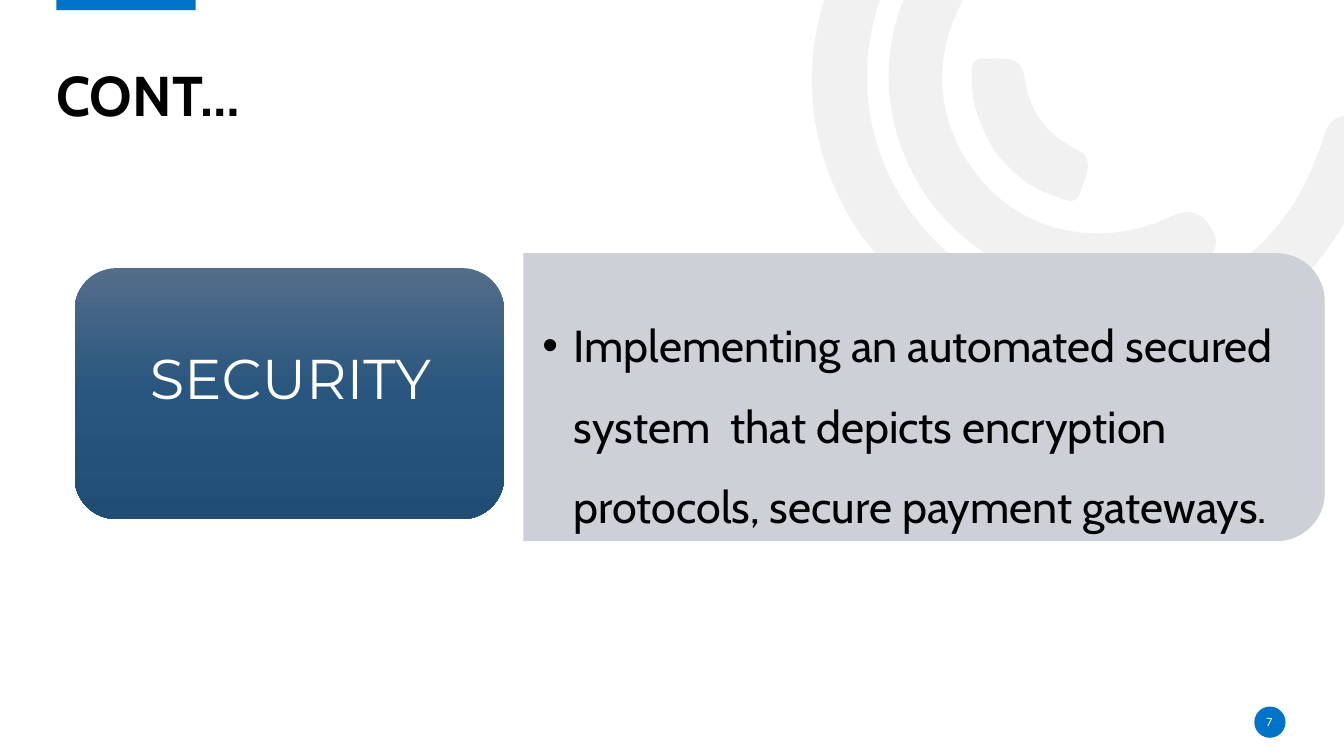
from lxml.etree import SubElement
from pptx import Presentation
from pptx.dml.color import RGBColor
from pptx.enum.shapes import MSO_SHAPE
from pptx.enum.text import MSO_ANCHOR, PP_ALIGN
from pptx.oxml.ns import qn
from pptx.util import Inches, Pt

TITLE = "CONT…"
TOPIC = "SECURITY"
POINT = ("Implementing an automated secured system  that depicts "
         "encryption protocols, secure payment gateways.")
PAGE = "7"

BLUE, PALE, GREY = "0072C7", "CDD1D7", "E7E6E6"
BLACK, WHITE = "000000", "FFFFFF"
FADE = [(0, "536D8A"), (50, "28567E"), (100, "204D73")]

# Each arc: a start point, then cubic curves (control, control, end)
ARCS = [
    ((8.51, 2.29), [
        (7.99, 1.49, 7.87, 0.5, 8.38, -0.5),
        (8.9, -1.52, 9.76, -2.03, 10.9, -2.07),
        (11.05, -2.07, 11.21, -2.1, 11.31, -1.95),
        (11.44, -1.75, 11.27, -1.54, 10.98, -1.54),
        (9.67, -1.54, 8.65, -0.59, 8.6, 0.68),
        (8.56, 1.81, 9.36, 2.81, 10.46, 3.02),
        (11.6, 3.24, 12.7, 2.61, 13.07, 1.52),
        (13.09, 1.48, 13.11, 1.44, 13.12, 1.4),
        (13.16, 1.19, 13.27, 1.11, 13.49, 1.17),
        (13.73, 1.24, 13.67, 1.41, 13.61, 1.56),
        (13.34, 2.45, 12.78, 3.07, 11.91, 3.41),
        (10.7, 3.87, 9.36, 3.45, 8.51, 2.29)]),
    ((9.22, 1.99), [
        (8.62, 1.15, 8.69, 0.07, 9.4, -0.68),
        (9.51, -0.79, 9.62, -0.95, 9.8, -0.78),
        (9.95, -0.64, 9.97, -0.5, 9.79, -0.32),
        (9.25, 0.26, 9.2, 1.08, 9.65, 1.68),
        (10.08, 2.29, 10.88, 2.49, 11.61, 2.15),
        (11.82, 2.05, 11.93, 2.12, 12.03, 2.29),
        (12.13, 2.5, 11.97, 2.56, 11.83, 2.63),
        (10.96, 3.1, 9.83, 2.82, 9.22, 1.99)]),
    ((9.87, 1.51), [
        (9.75, 1.3, 9.64, 1.07, 9.64, 0.82),
        (9.64, 0.73, 9.61, 0.57, 9.76, 0.58),
        (9.92, 0.59, 10.13, 0.53, 10.16, 0.76),
        (10.21, 1.1, 10.36, 1.32, 10.67, 1.48),
        (10.88, 1.57, 10.76, 1.76, 10.72, 1.89),
        (10.68, 2.06, 10.55, 1.98, 10.45, 1.94),
        (10.21, 1.87, 10.03, 1.7, 9.87, 1.51)]),
]

deck = Presentation()
deck.slide_width, deck.slide_height = Inches(13.33), Inches(7.5)
slide = deck.slides.add_slide(deck.slide_layouts[6])
shapes = slide.shapes


def paint(shape, color, alpha=100):
    """Fill a shape flat, with no line or shadow; alpha in percent."""
    shape.shadow.inherit = False
    shape.line.fill.background()
    shape.fill.solid()
    shape.fill.fore_color.rgb = RGBColor.from_string(color)
    if alpha < 100:
        tone = shape.fill._xPr.find(qn("a:solidFill"))[0]
        SubElement(tone, qn("a:alpha"), val=str(alpha * 1000))


def fade(shape, stops):
    """Fill a shape with a gradient running from top to bottom."""
    shape.fill.gradient()
    grad = shape.fill._xPr.find(qn("a:gradFill"))
    for child in list(grad):
        grad.remove(child)
    stop_list = SubElement(grad, qn("a:gsLst"))
    for place, color in stops:
        stop = SubElement(stop_list, qn("a:gs"), pos=str(place * 1000))
        SubElement(stop, qn("a:srgbClr"), val=color)
    SubElement(grad, qn("a:lin"), ang="5400000", scaled="0")


def draw_arc(start, curves):
    """Lay out all curve points as lines, then bend each three into a cubic."""
    x, y = map(Inches, start)
    pen = shapes.build_freeform(x, y)
    pen.add_line_segments([(Inches(c[i]), Inches(c[i + 1]))
                           for c in curves for i in (0, 2, 4)], close=True)
    arc = pen.convert_to_shape()
    lines = list(arc._element.iter(qn("a:lnTo")))
    for first in range(0, len(curves) * 3, 3):
        bend = lines[first].makeelement(qn("a:cubicBezTo"))
        lines[first].addprevious(bend)
        for line in lines[first:first + 3]:
            bend.append(line[0])
    for line in lines:
        line.getparent().remove(line)
    paint(arc, GREY, 53)


def add(kind, *box):
    return shapes.add_shape(kind, *map(Inches, box))


def add_box(*box):
    return shapes.add_textbox(*map(Inches, box))


def write(shape, text, size, font, color, align=PP_ALIGN.LEFT,
          anchor=MSO_ANCHOR.MIDDLE, space=1.0, inset=(0, 0, 0, 0)):
    """Set a shape's one paragraph; inset is left, top, right, bottom."""
    frame = shape.text_frame
    frame.word_wrap = True
    frame.vertical_anchor = anchor
    (frame.margin_left, frame.margin_top,
     frame.margin_right, frame.margin_bottom) = map(Inches, inset)
    para = frame.paragraphs[0]
    para.text = text
    para.alignment = align
    para.line_spacing = space
    para.font.size, para.font.name = Pt(size), font
    para.font.color.rgb = RGBColor.from_string(color)
    return para


for start, curves in ARCS:
    draw_arc(start, curves)

paint(add(MSO_SHAPE.RECTANGLE, 0.56, -0.02, 1.38, 0.12), BLUE)

title = write(add_box(0.56, 0.27, 12.19, 1.01), TITLE, 40, "Cabin", BLACK,
              anchor=MSO_ANCHOR.BOTTOM, space=0.9)
title.font.bold = True

paint(add(MSO_SHAPE.OVAL, 12.44, 7.01, 0.31, 0.31), BLUE)
write(add_box(12.43, 7.06, 0.32, 0.2), PAGE, 9, "Calibri", WHITE,
      PP_ALIGN.CENTER)

panel = add(MSO_SHAPE.ROUND_2_SAME_RECTANGLE, 7.74, -0.03, 2.85, 7.94)
panel.rotation = 90
paint(panel, PALE)
panel.line.color.rgb = RGBColor.from_string(PALE)
panel.line.width = Pt(0.5)

point = write(add_box(5.11, 2.8, 7.83, 2.57), POINT, 32, "Cabin", BLACK,
              space=1.5, inset=(0.27, 0.14, 0.27, 0.14))
props = point._p.get_or_add_pPr()
props.set("marL", str(Inches(0.31)))
props.set("indent", str(-Inches(0.31)))
SubElement(props, qn("a:buFont"), typeface="Arial")
SubElement(props, qn("a:buChar"), char="•")
props.append(props.find(qn("a:defRPr")))  # must follow the bullet

card = add(MSO_SHAPE.ROUNDED_RECTANGLE, 0.74, 2.66, 4.26, 2.49)
paint(card, BLUE)
fade(card, FADE)
write(add_box(0.86, 3.18, 4.04, 1.21), TOPIC, 40, "Montserrat", WHITE,
      PP_ALIGN.CENTER, space=0.9, inset=(0.12, 0.06, 0.12, 0.06))

deck.save("out.pptx")
